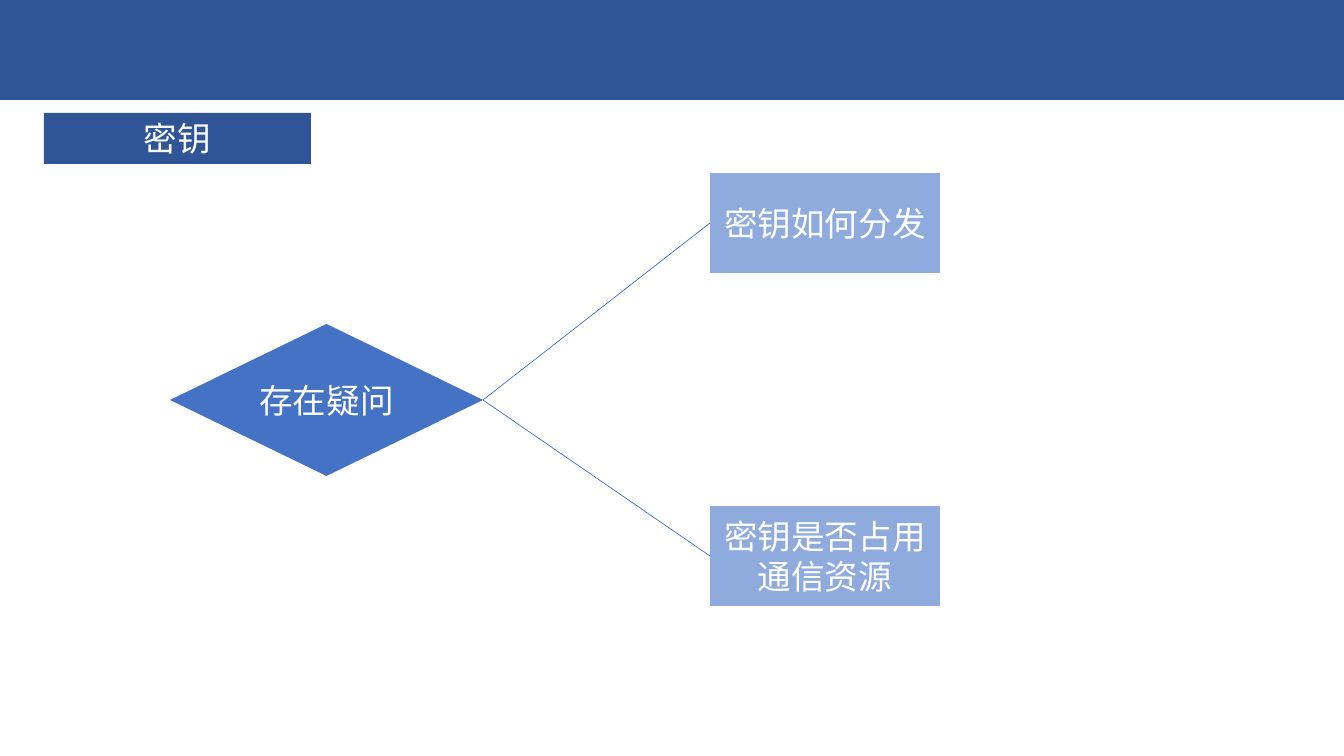
from dataclasses import dataclass

from pptx import Presentation
from pptx.dml.color import RGBColor
from pptx.enum.shapes import MSO_CONNECTOR, MSO_SHAPE as Shape
from pptx.enum.text import MSO_ANCHOR, PP_ALIGN
from pptx.oxml.ns import qn
from pptx.util import Emu, Pt

EMU_PER_PX = 914400 / 100.8
SLIDE_WIDTH, SLIDE_HEIGHT = 1344, 756
LEFT, RIGHT = 1, 3


def px(length):
    return Emu(round(length * EMU_PER_PX))


@dataclass(frozen=True)
class Theme:
    font: str = "Noto Sans CJK SC"
    text_size: float = 24
    line_width: float = 0.5
    dark: str = "2F5597"
    accent: str = "4472C4"
    light: str = "8FAADC"
    text: str = "FFFFFF"


class Diagram:
    def __init__(self, slide, theme):
        self.slide = slide
        self.theme = theme

    def block(self, kind, left, top, width, height, color, text=""):
        """Add a borderless filled shape with optional centred text."""
        block = self.slide.shapes.add_shape(
            kind, px(left), px(top), px(width), px(height))
        block.shadow.inherit = False
        block.fill.solid()
        block.fill.fore_color.rgb = RGBColor.from_string(color)
        block.line.fill.background()
        if text:
            self.caption(block.text_frame, text)
        return block

    def caption(self, frame, text):
        frame.word_wrap = True
        frame.vertical_anchor = MSO_ANCHOR.MIDDLE
        paragraph = frame.paragraphs[0]
        paragraph.alignment = PP_ALIGN.CENTER
        run = paragraph.add_run()
        run.text = text
        run.font.size = Pt(self.theme.text_size)
        run.font.color.rgb = RGBColor.from_string(self.theme.text)
        run.font.name = self.theme.font
        latin = run.font._element.find(qn("a:latin"))
        latin.addnext(latin.makeelement(
            qn("a:ea"), {"typeface": self.theme.font}))

    def link(self, source, target):
        """Join the right side of source to the left side of target."""
        link = self.slide.shapes.add_connector(
            MSO_CONNECTOR.STRAIGHT, 0, 0, 0, 0)
        link.begin_connect(source, RIGHT)
        link.end_connect(target, LEFT)
        link.line.color.rgb = RGBColor.from_string(self.theme.accent)
        link.line.width = Pt(self.theme.line_width)
        properties = link._element.spPr
        properties.append(properties.makeelement(qn("a:effectLst"), {}))


def main():
    deck = Presentation()
    deck.slide_width, deck.slide_height = px(SLIDE_WIDTH), px(SLIDE_HEIGHT)
    theme = Theme()
    diagram = Diagram(deck.slides.add_slide(deck.slide_layouts[6]), theme)

    diagram.block(Shape.RECTANGLE, 0, 0, SLIDE_WIDTH, 100, theme.dark)
    diagram.block(Shape.RECTANGLE, 44, 113, 267, 51, theme.dark, "密钥")
    doubt = diagram.block(Shape.FLOWCHART_DECISION, 170, 324, 313, 152,
                          theme.accent, "存在疑问")
    for top, question in ((173, "密钥如何分发"), (506, "密钥是否占用通信资源")):
        issue = diagram.block(Shape.FLOWCHART_PROCESS, 710, top, 230, 100,
                              theme.light, question)
        diagram.link(doubt, issue)

    deck.save("out.pptx")


if __name__ == "__main__":
    main()
